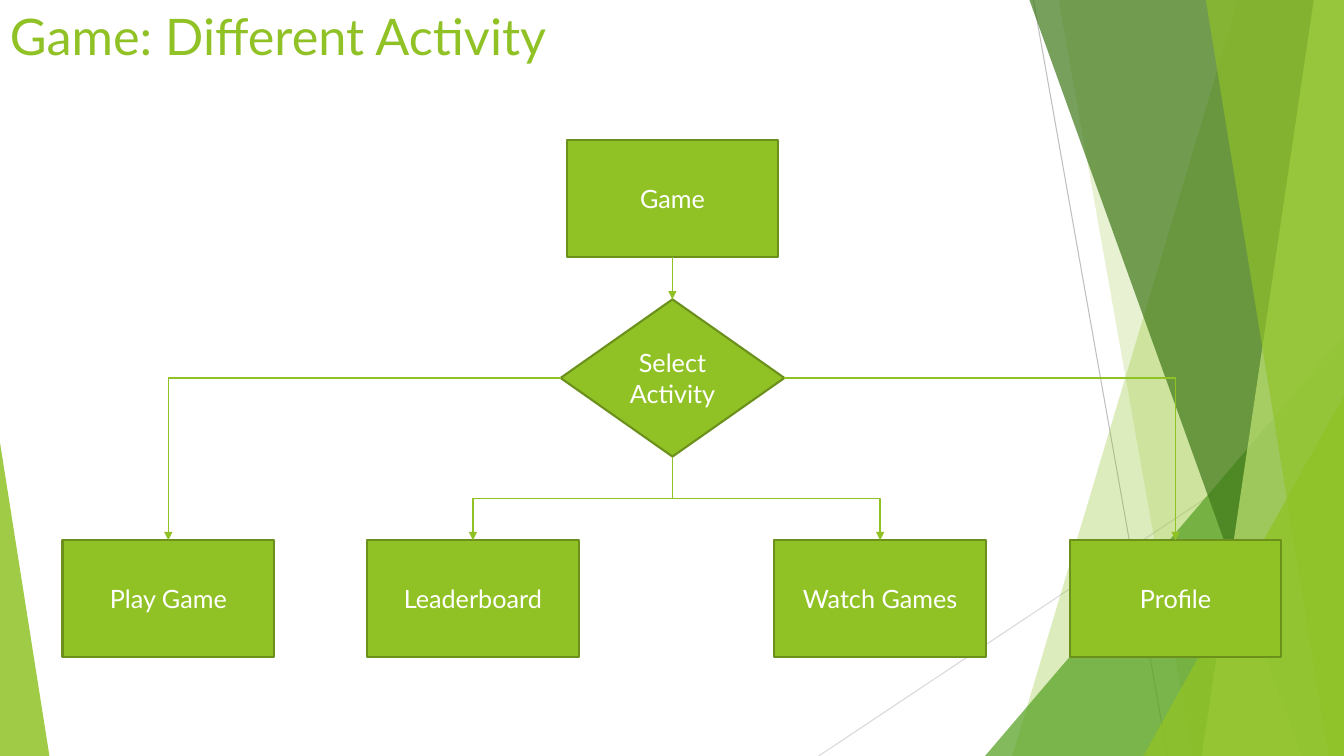
from lxml import etree
from pptx import Presentation
from pptx.dml.color import RGBColor
from pptx.enum.shapes import MSO_CONNECTOR, MSO_SHAPE
from pptx.enum.text import MSO_ANCHOR, PP_ALIGN
from pptx.oxml.ns import qn
from pptx.util import Inches, Pt

STRAIGHT, ELBOW = MSO_CONNECTOR.STRAIGHT, MSO_CONNECTOR.ELBOW
PROCESS, DECISION = MSO_SHAPE.FLOWCHART_PROCESS, MSO_SHAPE.FLOWCHART_DECISION
TRIANGLE = MSO_SHAPE.ISOSCELES_TRIANGLE
MIDDLE, TOP = MSO_ANCHOR.MIDDLE, MSO_ANCHOR.TOP
CENTER, LEFT = PP_ALIGN.CENTER, PP_ALIGN.LEFT

COLORS = {
    "lime": "90C226", "olive": "6B901C", "green": "54A021", "forest": "3F7819",
    "pale": "C0E474", "white": "FFFFFF", "gray": "BFBFBF", "silver": "D9D9D9",
}
FONT = "Lato"
WIDTH, HEIGHT = 13.33, 7.5
CENTER_X = 6.67
NODE_WIDTH, NODE_HEIGHT = 2.1, 1.16
ACTIVITY_TOP = 5.36
SITE_TOP, SITE_LEFT, SITE_BOTTOM, SITE_RIGHT = range(4)


def rgb(name):
    return RGBColor.from_string(COLORS[name])


class FlowSlide:
    def __init__(self, slide):
        self.shapes = slide.shapes

    def paint(self, shape, color, opacity=100):
        shape.shadow.inherit = False
        shape.fill.solid()
        shape.fill.fore_color.rgb = rgb(color)
        shape.line.fill.background()
        if opacity < 100:
            tint = shape.fill._xPr.find(".//" + qn("a:srgbClr"))
            etree.SubElement(tint, qn("a:alpha")).set("val", str(opacity * 1000))

    def panel(self, top_x, bottom_x, color, opacity):
        """Fill from a slanted left edge to the right edge of the slide."""
        corners = [(top_x, 0), (WIDTH, 0), (WIDTH, HEIGHT), (bottom_x, HEIGHT)]
        points = [(Inches(x), Inches(y)) for x, y in corners]
        builder = self.shapes.build_freeform(*points[0])
        builder.add_line_segments(points[1:])
        self.paint(builder.convert_to_shape(), color, opacity)

    def corner(self, left, top, width, apex, color, opacity):
        """Triangle standing on the bottom edge of the slide."""
        triangle = self.shapes.add_shape(TRIANGLE, Inches(left), Inches(top),
                                         Inches(width), Inches(HEIGHT - top))
        triangle.adjustments[0] = apex
        self.paint(triangle, color, opacity)

    def style_line(self, connector, color, points):
        connector.line.color.rgb = rgb(color)
        connector.line.width = Pt(points)
        etree.SubElement(connector._element.spPr, qn("a:effectLst"))

    def line(self, x1, y1, x2, y2, color):
        connector = self.shapes.add_connector(
            STRAIGHT, Inches(x1), Inches(y1), Inches(x2), Inches(y2))
        self.style_line(connector, color, 0.75)

    def set_text(self, shape, text, size, color, align, anchor):
        frame = shape.text_frame
        frame.text = text
        frame.word_wrap = True
        frame.vertical_anchor = anchor
        paragraph = frame.paragraphs[0]
        paragraph.alignment = align
        font = paragraph.runs[0].font
        font.name, font.size, font.color.rgb = FONT, Pt(size), rgb(color)

    def title(self, text):
        box = self.shapes.add_textbox(0, 0, Inches(8.45), Inches(1.3))
        self.set_text(box, text, 36, "lime", LEFT, TOP)

    def node(self, text, center_x, top, kind=PROCESS,
             width=NODE_WIDTH, height=NODE_HEIGHT):
        node = self.shapes.add_shape(kind, Inches(center_x - width / 2), Inches(top),
                                     Inches(width), Inches(height))
        self.paint(node, "lime")
        node.line.color.rgb = rgb("olive")
        node.line.width = Pt(1.5)
        self.set_text(node, text, 18, "white", CENTER, MIDDLE)
        return node

    def arrow(self, source, site, target):
        """Elbow arrow from a site of the source to the top of the target."""
        arrow = self.shapes.add_connector(ELBOW, 0, 0, 0, 0)
        arrow.begin_connect(source, site)
        arrow.end_connect(target, SITE_TOP)
        if site == SITE_BOTTOM:
            self.turn_downward(arrow)
        else:
            arrow._element.spPr.find(qn("a:prstGeom")).set("prst", "bentConnector2")
        self.style_line(arrow, "lime", 1)
        etree.SubElement(arrow.line._ln, qn("a:tailEnd")).set("type", "triangle")

    def turn_downward(self, arrow):
        """Rotate the elbow so that it leaves its source vertically."""
        leftward = arrow.end_x < arrow.begin_x
        left, top, width, height = arrow.left, arrow.top, arrow.width, arrow.height
        arrow.left = left + (width - height) // 2
        arrow.top = top + (height - width) // 2
        arrow.width, arrow.height = height, width
        transform = arrow._element.spPr.find(qn("a:xfrm"))
        transform.set("rot", str((90 if leftward else 270) * 60000))
        transform.set("flipH", "0" if leftward else "1")


def main():
    deck = Presentation()
    deck.slide_width, deck.slide_height = Inches(WIDTH), Inches(HEIGHT)
    flow = FlowSlide(deck.slides.add_slide(deck.slide_layouts[6]))

    flow.line(10.25, 0, 11.58, HEIGHT, "gray")
    flow.line(WIDTH, 4.03, 8.12, HEIGHT, "silver")
    flow.panel(12.28, 10.04, "lime", 30)
    flow.panel(10.5, 11.83, "lime", 20)
    flow.corner(9.77, 3.33, 3.56, 1, "green", 72)
    flow.panel(10.21, 12.91, "forest", 70)
    flow.panel(13.03, 11.92, "pale", 70)
    flow.panel(11.96, 13.18, "lime", 65)
    flow.corner(11.34, 3.93, 1.99, 1, "lime", 80)
    flow.corner(0, 4.39, 0.49, 0, "lime", 85)

    flow.title("Game: Different Activity")
    game = flow.node("Game", CENTER_X, 1.39)
    choice = flow.node("Select Activity", CENTER_X, 2.97, DECISION, 2.22, 1.56)
    activities = [
        ("Play Game", 1.67, SITE_LEFT),
        ("Leaderboard", 4.69, SITE_BOTTOM),
        ("Watch Games", 8.73, SITE_BOTTOM),
        ("Profile", 11.66, SITE_RIGHT),
    ]
    flow.arrow(game, SITE_BOTTOM, choice)
    for name, center_x, site in activities:
        flow.arrow(choice, site, flow.node(name, center_x, ACTIVITY_TOP))

    deck.save("out.pptx")


if __name__ == "__main__":
    main()
